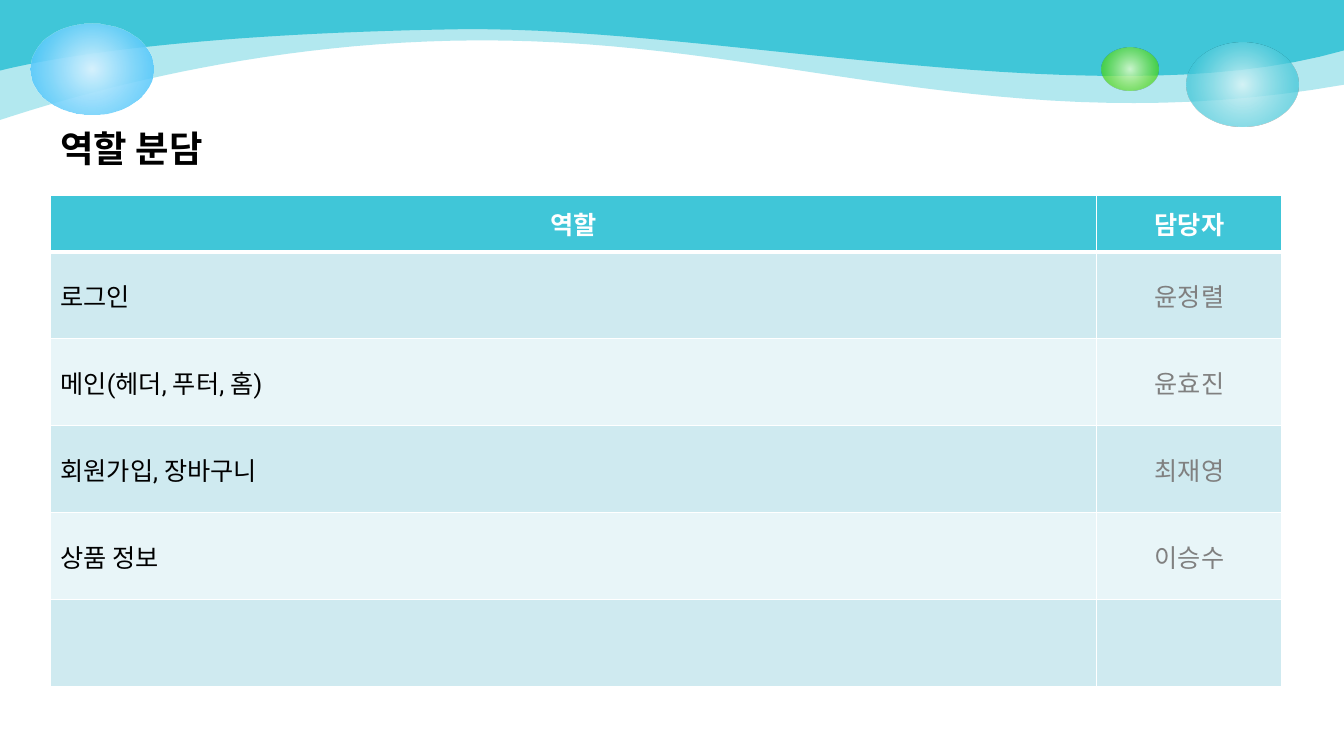
import pptx
import pptx.util
import pptx.oxml
import pptx.dml.color
import pptx.enum.shapes
import pptx.enum.text
from lxml import etree

Pt = pptx.util.Pt
RGBColor = pptx.dml.color.RGBColor
PP_ALIGN = pptx.enum.text.PP_ALIGN
MIDDLE = pptx.enum.text.MSO_ANCHOR.MIDDLE

TEAL = RGBColor(0x40, 0xC6, 0xD8)
PALE_TEAL = RGBColor(0xD9, 0xF4, 0xF7)
GREEN = RGBColor(0x4C, 0xD4, 0x16)
PALE_GREEN = RGBColor(0xDA, 0xFA, 0xCD)
BLUE = RGBColor(0x33, 0xBD, 0xFB)
PALE_BLUE = RGBColor(0xD6, 0xF2, 0xFE)
BAND_DARK = RGBColor(0xCF, 0xEA, 0xF0)
BAND_LIGHT = RGBColor(0xE8, 0xF5, 0xF8)
WHITE = RGBColor(0xFF, 0xFF, 0xFF)
BLACK = RGBColor(0, 0, 0)
GRAY = RGBColor(0x80, 0x80, 0x80)

FONT = "Roboto"
HEADING = "역할 분담"
ROLES = [
    ("역할", "담당자"),
    ("로그인", "윤정렬"),
    ("메인(헤더, 푸터, 홈)", "윤효진"),
    ("회원가입, 장바구니", "최재영"),
    ("상품 정보", "이승수"),
    ("", ""),
]
COLUMN_WIDTHS = (747.5, 132.3)
HEADER_HEIGHT, ROW_HEIGHT = 40.2, 62.1

WAVES = [
    (40, [(0, 85.7), (31.7, 75.6), (189.4, 22.3), (380.2, 29.5),
          (571.7, 36), (731.5, 100.8), (960, 60.5)]),
    (100, [(0, 50.4), (43.2, 39.6), (146.2, 23.8), (326.9, 20.9),
           (507.6, 18), (787.7, 85.7), (960, 36)]),
]
BUBBLES = [
    ((847.4, 30.2, 80.2, 60), [(0, PALE_TEAL, 90), (76, TEAL, 70)]),
    ((787, 33.8, 40.6, 30.5), [(0, PALE_GREEN, 90), (76, GREEN, 70)]),
    ((22.1, 16.6, 87.5, 65.5), [(0, PALE_BLUE, 100), (100, BLUE, 80)]),
]
CURVE_STEPS = 30
NS = 'xmlns:a="http://schemas.openxmlformats.org/drawingml/2006/main"'


def color_xml(color, alpha):
    return f'<a:srgbClr val="{color}"><a:alpha val="{alpha * 1000}"/></a:srgbClr>'


def replace_fill(shape, fill_xml):
    shape.shadow.inherit = False
    shape.line.fill.background()
    shape.fill.solid()
    solid = shape._element.spPr.find(pptx.oxml.ns.qn("a:solidFill"))
    solid.getparent().replace(solid, pptx.oxml.parse_xml(fill_xml))


def curve_points(controls):
    for start in range(0, len(controls) - 1, 3):
        p0, p1, p2, p3 = controls[start:start + 4]
        for step in range(1, CURVE_STEPS + 1):
            t = step / CURVE_STEPS
            u = 1 - t
            yield tuple(Pt(u**3 * a + 3 * u * u * t * b + 3 * u * t * t * c + t**3 * d)
                        for a, b, c, d in zip(p0, p1, p2, p3))


def add_wave(slide, alpha, controls):
    builder = slide.shapes.build_freeform(0, 0)
    edge = [(0, Pt(controls[0][1])), *curve_points(controls), (Pt(960), 0)]
    builder.add_line_segments(edge, close=True)
    replace_fill(builder.convert_to_shape(),
                 f'<a:solidFill {NS}>{color_xml(TEAL, alpha)}</a:solidFill>')


def add_bubble(slide, box, stops):
    bubble = slide.shapes.add_shape(pptx.enum.shapes.MSO_SHAPE.OVAL, *map(Pt, box))
    stops_xml = "".join(f'<a:gs pos="{place * 1000}">{color_xml(color, alpha)}</a:gs>'
                        for place, color, alpha in stops)
    replace_fill(bubble, f'<a:gradFill {NS} rotWithShape="1"><a:gsLst>{stops_xml}</a:gsLst>'
                 '<a:path path="circle"><a:fillToRect l="50000" t="50000" r="50000" b="50000"/>'
                 '</a:path></a:gradFill>')


def set_borders(cell, top, bottom):
    properties = cell._tc.get_or_add_tcPr()
    for index, (side, width) in enumerate((("L", 1), ("R", 1), ("T", top), ("B", bottom))):
        properties.insert(index, etree.fromstring(
            f'<a:ln{side} {NS} w="{Pt(width)}"><a:solidFill><a:srgbClr val="{WHITE}"/>'
            f'</a:solidFill></a:ln{side}>'))


def add_roles(slide):
    height = HEADER_HEIGHT + ROW_HEIGHT * (len(ROLES) - 1)
    table = slide.shapes.add_table(len(ROLES), len(COLUMN_WIDTHS), Pt(36), Pt(139.7),
                                   Pt(sum(COLUMN_WIDTHS)), Pt(height)).table
    for column, width in zip(table.columns, COLUMN_WIDTHS):
        column.width = Pt(width)
    for r, texts in enumerate(ROLES):
        header = r == 0
        table.rows[r].height = Pt(HEADER_HEIGHT if header else ROW_HEIGHT)
        for c, text in enumerate(texts):
            cell = table.cell(r, c)
            cell.text = text
            cell.vertical_anchor = MIDDLE
            cell.fill.solid()
            cell.fill.fore_color.rgb = TEAL if header else BAND_DARK if r % 2 else BAND_LIGHT
            set_borders(cell, 3 if r == 1 else 1, 3 if header else 1)
            paragraph = cell.text_frame.paragraphs[0]
            paragraph.alignment = PP_ALIGN.CENTER if header or c else PP_ALIGN.LEFT
            paragraph.font.name = FONT
            paragraph.font.size = Pt(18)
            paragraph.font.bold = header
            paragraph.font.color.rgb = WHITE if header else GRAY if c else BLACK


def add_heading(slide):
    title = slide.shapes.title
    title.left, title.top, title.width, title.height = map(Pt, (36, 86.4, 743.8, 38.9))
    title.text = HEADING
    title.text_frame.vertical_anchor = MIDDLE
    paragraph = title.text_frame.paragraphs[0]
    paragraph.alignment = PP_ALIGN.LEFT
    paragraph.font.name = FONT
    paragraph.font.size = Pt(26)
    paragraph.font.bold = True
    paragraph.font.color.rgb = BLACK


def main():
    deck = pptx.Presentation()
    deck.slide_width, deck.slide_height = Pt(960), Pt(540)
    slide = deck.slides.add_slide(deck.slide_layouts[5])
    for alpha, controls in WAVES:
        add_wave(slide, alpha, controls)
    for box, stops in BUBBLES:
        add_bubble(slide, box, stops)
    add_roles(slide)
    add_heading(slide)
    deck.save("out.pptx")


if __name__ == "__main__":
    main()
